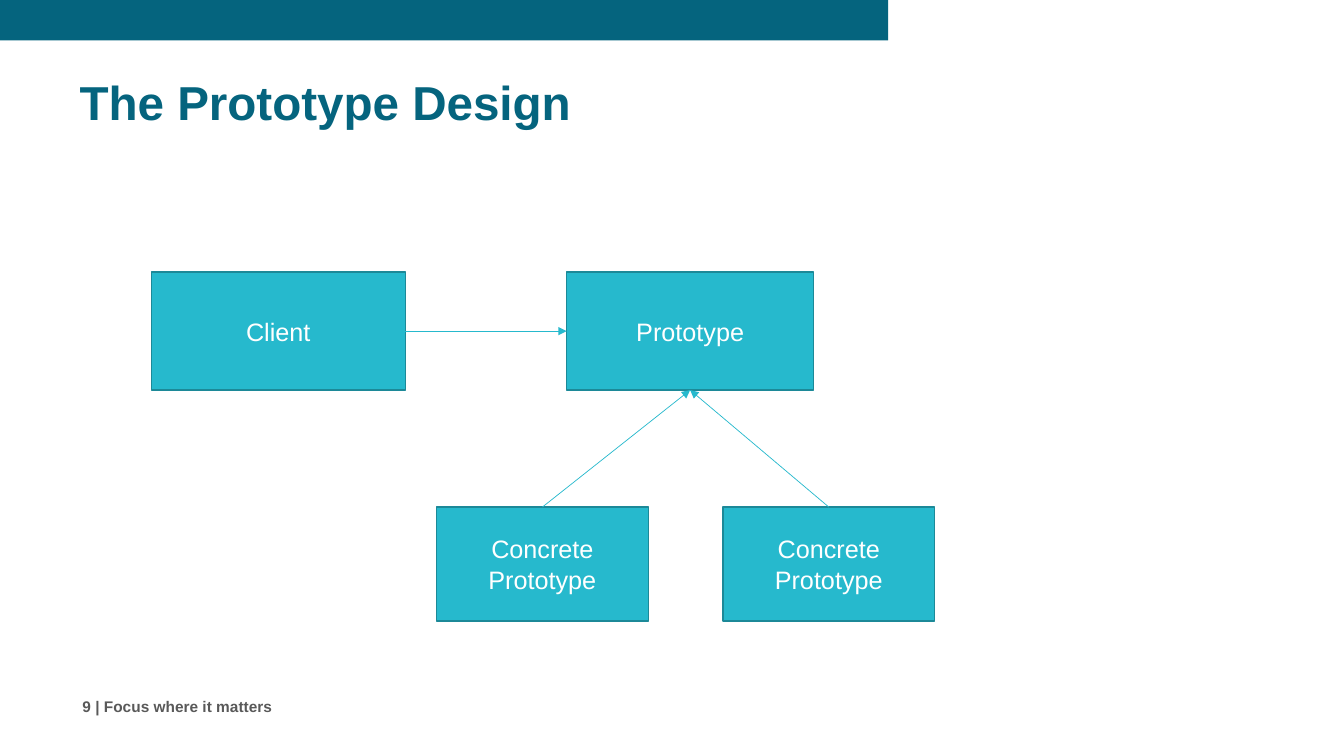
from lxml import etree
from pptx import Presentation
from pptx.dml.color import RGBColor
from pptx.enum import shapes, text
from pptx.oxml import ns
from pptx.util import Inches, Pt

TEAL = RGBColor(0x05, 0x64, 0x7E)
CYAN = RGBColor(0x26, 0xB9, 0xCD)
OUTLINE = RGBColor(0x1C, 0x89, 0x98)
GRAY = RGBColor(0x59, 0x59, 0x59)
WHITE = RGBColor(0xFF, 0xFF, 0xFF)

TITLE = "The Prototype Design"
FOOTER = "9 | Focus where it matters"
BOXES = {
    "client": ("Client", 1.5, 2.7, 2.52, 1.17),
    "prototype": ("Prototype", 5.62, 2.7, 2.45, 1.17),
    "concrete left": ("Concrete Prototype", 4.33, 5.03, 2.1, 1.13),
    "concrete right": ("Concrete Prototype", 7.17, 5.03, 2.1, 1.13),
}
TOP, LEFT, BOTTOM, RIGHT = range(4)
ARROWS = [
    ("client", RIGHT, "prototype", LEFT),
    ("concrete left", TOP, "prototype", BOTTOM),
    ("concrete right", TOP, "prototype", BOTTOM),
]


def write(shape, words, size, color, bold=False, align=text.PP_ALIGN.LEFT,
          anchor=text.MSO_ANCHOR.MIDDLE, inset=0.05):
    frame = shape.text_frame
    frame.word_wrap = True
    frame.auto_size = text.MSO_AUTO_SIZE.NONE
    frame.vertical_anchor = anchor
    frame.margin_left = frame.margin_right = Inches(0.1)
    frame.margin_top = frame.margin_bottom = Inches(inset)
    paragraph = frame.paragraphs[0]
    paragraph.alignment = align
    run = paragraph.add_run()
    run.text = words
    run.font.name = "Arial"
    run.font.size = Pt(size)
    run.font.bold = bold
    run.font.color.rgb = color


def add_rectangle(slide, left, top, width, height, fill, outline=None):
    shape = slide.shapes.add_shape(
        shapes.MSO_SHAPE.RECTANGLE, *map(Inches, (left, top, width, height)))
    shape.shadow.inherit = False
    shape.fill.solid()
    shape.fill.fore_color.rgb = fill
    if outline is None:
        shape.line.fill.background()
    else:
        shape.line.color.rgb = outline
        shape.line.width = Pt(1)
    return shape


def add_arrow(slide, source, source_side, target, target_side):
    connector = slide.shapes.add_connector(
        shapes.MSO_CONNECTOR.STRAIGHT, 0, 0, 0, 0)
    connector.begin_connect(source, source_side)
    connector.end_connect(target, target_side)
    connector.line.color.rgb = CYAN
    connector.line.width = Pt(0.5)
    line = connector.line._get_or_add_ln()
    etree.SubElement(line, ns.qn("a:tailEnd"), type="triangle")
    etree.SubElement(connector._element.spPr, ns.qn("a:effectLst"))


def main():
    presentation = Presentation()
    presentation.slide_width = Inches(13.33)
    presentation.slide_height = Inches(7.5)
    slide = presentation.slides.add_slide(presentation.slide_layouts[5])

    add_rectangle(slide, 0, -0.01, 8.81, 0.41, TEAL)
    footer = slide.shapes.add_textbox(*map(Inches, (0.72, 6.81, 5.73, 0.4)))
    write(footer, FOOTER, 11, GRAY, bold=True)

    title = slide.shapes.title
    title.left, title.top = Inches(0.69), Inches(0.62)
    title.width, title.height = Inches(11.85), Inches(0.63)
    write(title, TITLE, 34, TEAL, bold=True,
          anchor=text.MSO_ANCHOR.TOP, inset=0.1)

    boxes = {}
    for name, (label, *place) in BOXES.items():
        boxes[name] = add_rectangle(slide, *place, CYAN, OUTLINE)
        write(boxes[name], label, 18, WHITE, align=text.PP_ALIGN.CENTER)

    for source, source_side, target, target_side in ARROWS:
        add_arrow(slide, boxes[source], source_side, boxes[target], target_side)

    presentation.save("out.pptx")


if __name__ == "__main__":
    main()
